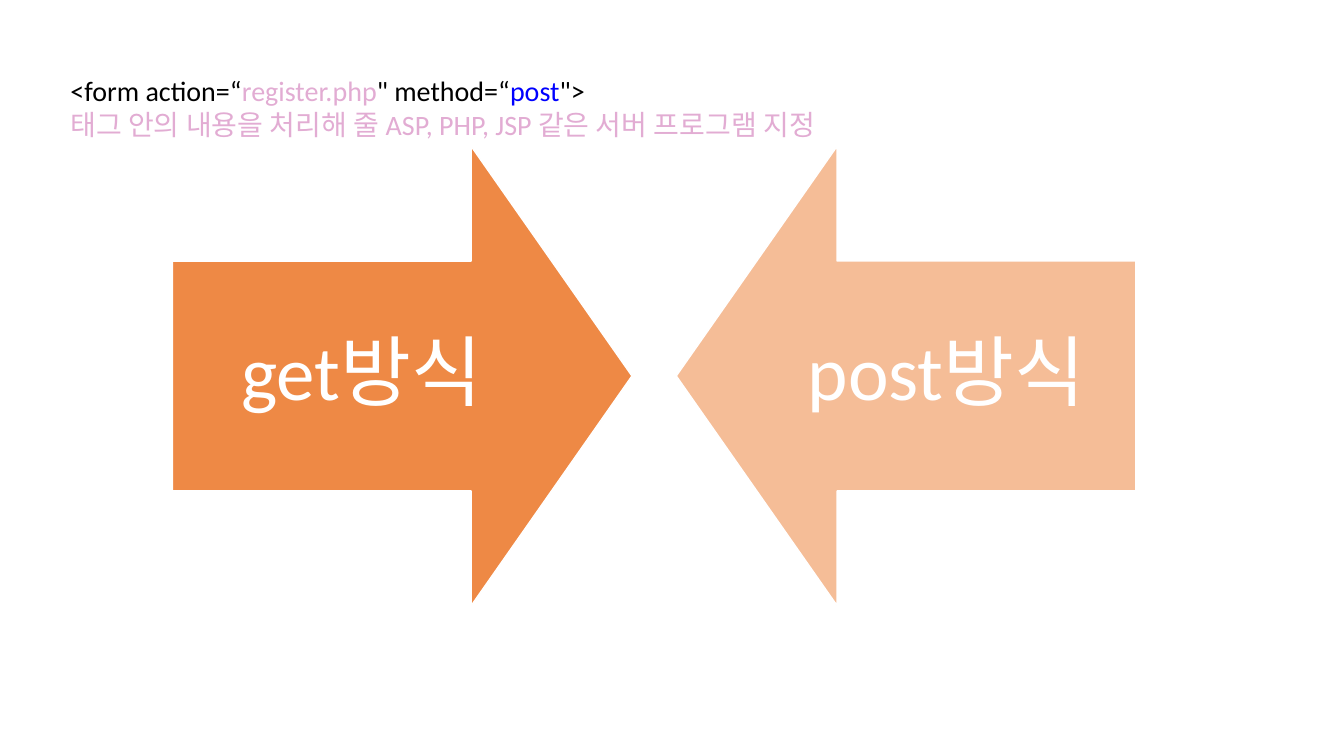
from dataclasses import dataclass

from lxml import etree
from pptx import Presentation
from pptx.dml.color import RGBColor
from pptx.enum import shapes, text
from pptx.oxml import ns
from pptx.util import Pt


@dataclass(frozen=True)
class Theme:
    font: str = "Calibri"
    white: str = "FFFFFF"
    black: str = "000000"
    pink: str = "E2ACD3"
    blue: str = "0000FF"
    orange: str = "ED7D31"
    code: int = 20
    label: int = 55


THEME = Theme()
SIDE = 328.3  # both arrows are square
TOP = 104.4


def add_text(slide, box, lines, size, inset=None, wrap=True, align=None,
             anchor=text.MSO_ANCHOR.TOP, spacing=None):
    """Each line is a list of (words, colour) pairs."""
    frame = slide.shapes.add_textbox(*map(Pt, box)).text_frame
    frame.word_wrap = wrap
    frame.vertical_anchor = anchor
    if not wrap:
        frame.auto_size = text.MSO_AUTO_SIZE.SHAPE_TO_FIT_TEXT
    if inset is not None:
        frame.margin_left = frame.margin_right = Pt(inset)
        frame.margin_top = frame.margin_bottom = Pt(inset)
    for i, line in enumerate(lines):
        para = frame.add_paragraph() if i else frame.paragraphs[0]
        para.alignment = align
        para.line_spacing = spacing
        for words, colour in line:
            run = para.add_run()
            run.text = words
            run.font.name = THEME.font
            run.font.size = Pt(size)
            run.font.color.rgb = RGBColor.from_string(colour)


def add_arrow(slide, left, turn, alpha):
    """Down arrow turned sideways, with alpha as percent opacity."""
    arrow = slide.shapes.add_shape(shapes.MSO_SHAPE.DOWN_ARROW,
                                   Pt(left), Pt(TOP), Pt(SIDE), Pt(SIDE))
    arrow.rotation = turn
    arrow.adjustments[0] = 0.5
    arrow.adjustments[1] = 0.35
    arrow.shadow.inherit = False
    arrow.fill.solid()
    arrow.fill.fore_color.rgb = RGBColor.from_string(THEME.orange)
    colour = arrow.fill._xPr.find(".//" + ns.qn("a:srgbClr"))
    etree.SubElement(colour, ns.qn("a:alpha"), val=str(alpha * 1000))
    arrow.line.color.rgb = RGBColor.from_string(THEME.white)
    arrow.line.width = Pt(1)


def add_label(slide, left, words):
    box = (left, TOP + SIDE / 4, 270.7, SIDE / 2)
    add_text(slide, box, [[(words, THEME.white)]], THEME.label, inset=31,
             align=text.PP_ALIGN.CENTER, anchor=text.MSO_ANCHOR.MIDDLE,
             spacing=0.9)


def main():
    deck = Presentation()
    deck.slide_width, deck.slide_height = Pt(960), Pt(540)
    slide = deck.slides.add_slide(deck.slide_layouts[6])

    add_arrow(slide, 123.1, 270, 90)
    add_label(slide, 123.1, "get방식")
    add_arrow(slide, 483.1, 90, 50)
    add_label(slide, 540.7, "post방식")

    code = [("<form action=“", THEME.black), ("register.php", THEME.pink),
            ('" method=“', THEME.black), ("post", THEME.blue),
            ('">', THEME.black)]
    note = [("태그 안의 내용을 처리해 줄 ASP, PHP, JSP 같은 서버 프로그램 지정",
             THEME.pink)]
    add_text(slide, (43.2, 49, 580.3, 55.4), [code, note], THEME.code,
             wrap=False)

    deck.save("out.pptx")


if __name__ == "__main__":
    main()
